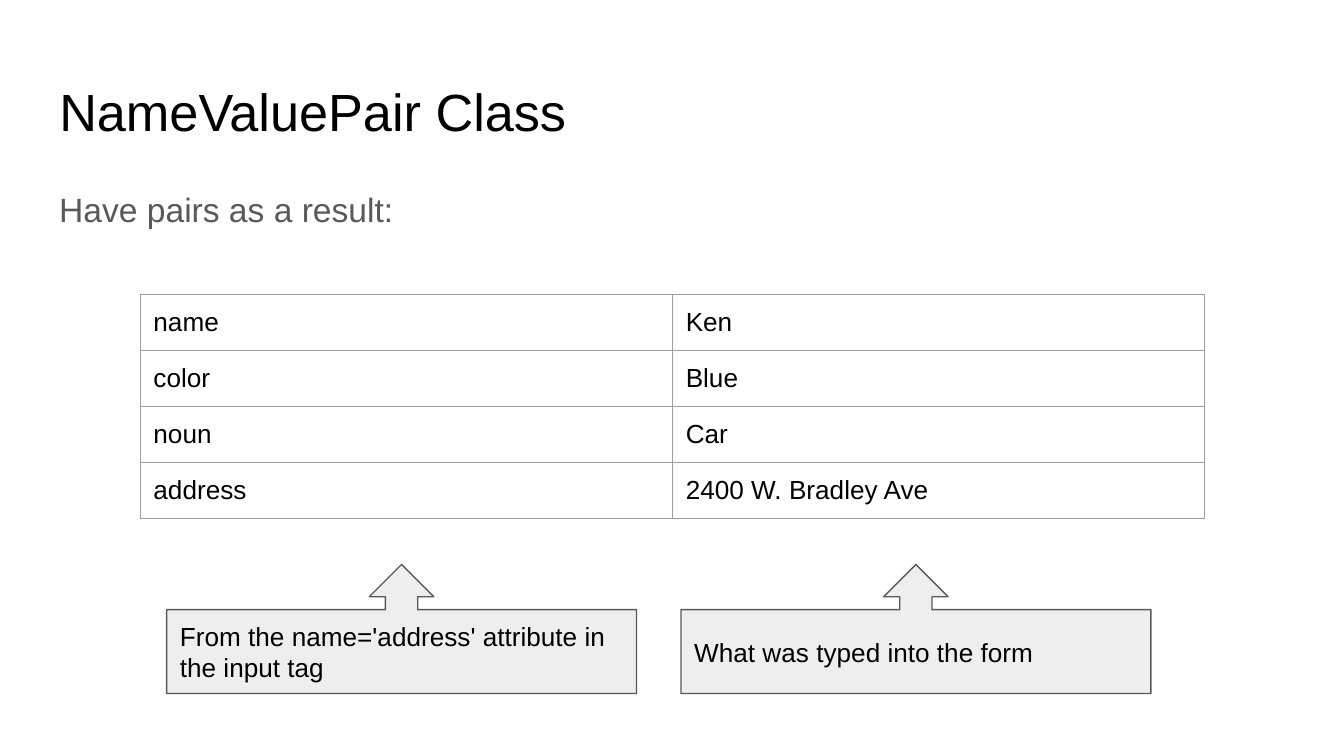
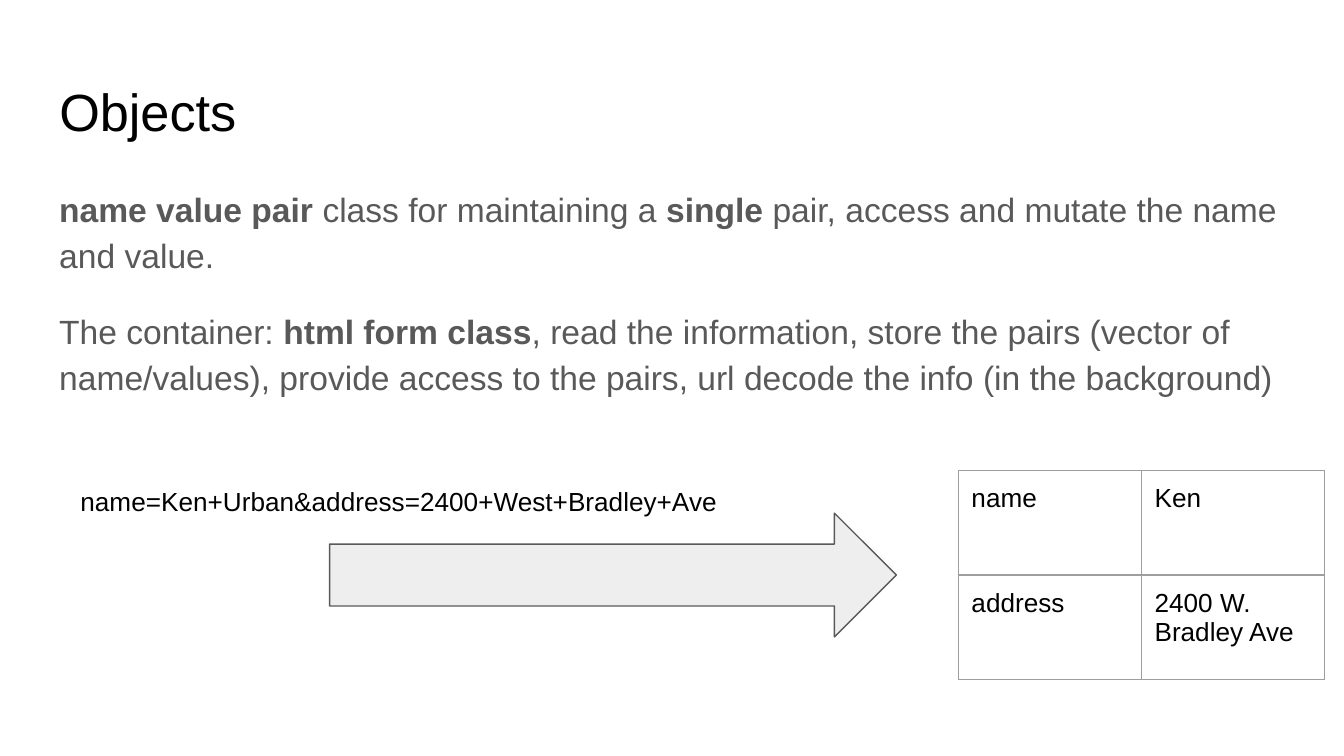
from lxml import etree
from pptx import Presentation
from pptx.dml.color import RGBColor
from pptx.enum.shapes import MSO_SHAPE
from pptx.enum.text import MSO_ANCHOR, MSO_AUTO_SIZE, PP_ALIGN
from pptx.oxml.ns import qn
from pptx.util import Cm, Pt

CALLOUT = MSO_SHAPE.UP_ARROW_CALLOUT
RIGHT_ARROW = MSO_SHAPE.RIGHT_ARROW
TOP, MIDDLE = MSO_ANCHOR.TOP, MSO_ANCHOR.MIDDLE
LEFT = PP_ALIGN.LEFT
NO_AUTOFIT = MSO_AUTO_SIZE.NONE

COLORS = {"ink": "000000", "body": "595959", "shape": "EEEEEE", "grid": "9E9E9E"}
FONT = "Arial"
MARGIN = Cm(0.25)
TEXT_LEFT, TEXT_WIDTH = Cm(0.87), Cm(23.67)


def format_text(frame, size, color="ink", anchor=TOP):
    frame.word_wrap = True
    frame.auto_size = NO_AUTOFIT
    frame.vertical_anchor = anchor
    frame.margin_left = frame.margin_right = MARGIN
    frame.margin_top = frame.margin_bottom = MARGIN
    for paragraph in frame.paragraphs:
        paragraph.alignment = LEFT
        for run in paragraph.runs:
            run.font.name = FONT
            run.font.size = Pt(size)
            run.font.color.rgb = RGBColor.from_string(COLORS[color])


def add_pairs(slide, pairs, left, top, column_width, row_height):
    table = slide.shapes.add_table(
        len(pairs), 2, left, top, column_width * 2, row_height * len(pairs)
    ).table
    table.first_row = table.horz_banding = False
    for column in table.columns:
        column.width = column_width
    for row, pair in zip(table.rows, pairs):
        row.height = row_height
        for cell, text in zip(row.cells, pair):
            cell.text = text
            cell.margin_left = cell.margin_right = MARGIN
            cell.margin_top = cell.margin_bottom = MARGIN
            font = cell.text_frame.paragraphs[0].runs[0].font
            font.name, font.size = FONT, Pt(14)
            font.color.rgb = RGBColor.from_string(COLORS["ink"])
            properties = cell._tc.get_or_add_tcPr()
            for side in ("a:lnL", "a:lnR", "a:lnT", "a:lnB"):
                border = etree.SubElement(properties, qn(side), w=str(Pt(0.75)))
                fill = etree.SubElement(border, qn("a:solidFill"))
                etree.SubElement(fill, qn("a:srgbClr"), val=COLORS["grid"])
            cell.fill.background()


prs = Presentation()
prs.slide_width, prs.slide_height = Cm(25.4), Cm(14.29)

contents = [
    ("NameValuePair Class", Cm(9.49), [[("Have pairs as a result:", False)]]),
    ("Objects", Cm(4.62), [
        [
            ("name value pair ", True),
            ("class for maintaining a ", False),
            ("single", True),
            (" pair, access and mutate the name and value.", False),
        ],
        [
            ("The container: ", False),
            ("html form class", True),
            (", read the information, store the pairs (vector of name/values), "
             "provide access to the pairs, url decode the info (in the background)", False),
        ],
    ]),
]

for heading, body_height, paragraphs in contents:
    slide = prs.slides.add_slide(prs.slide_layouts[5])
    title = slide.shapes.title
    title.left, title.top, title.width, title.height = TEXT_LEFT, Cm(1.24), TEXT_WIDTH, Cm(1.59)
    title.text_frame.text = heading
    format_text(title.text_frame, 28)

    body = slide.shapes.add_textbox(TEXT_LEFT, Cm(3.2), TEXT_WIDTH, body_height).text_frame
    for index, fragments in enumerate(paragraphs):
        paragraph = body.add_paragraph() if index else body.paragraphs[0]
        paragraph.line_spacing = 1.15
        paragraph.space_after = Pt(16)
        for text, bold in fragments:
            run = paragraph.add_run()
            run.text = text
            run.font.bold = bold
    format_text(body, 18, "body")

pair_slide, objects_slide = prs.slides

form_pairs = [
    ("name", "Ken"),
    ("color", "Blue"),
    ("noun", "Car"),
    ("address", "2400 W. Bradley Ave"),
]
add_pairs(pair_slide, form_pairs, Cm(2.65), Cm(5.56), Cm(10.06), Cm(1.06))

query = objects_slide.shapes.add_textbox(Cm(1.27), Cm(8.92), Cm(13.08), Cm(1.17)).text_frame
query.text = "name=Ken+Urban&address=2400+West+Bradley+Ave"
format_text(query, 14)

arrows = [
    (pair_slide, CALLOUT, 3.15, 10.67, 8.88, 2.44,
     "From the name='address' attribute in the input tag"),
    (pair_slide, CALLOUT, 12.87, 10.67, 8.88, 2.44, "What was typed into the form"),
    (objects_slide, RIGHT_ARROW, 6.23, 9.7, 10.71, 2.34, ""),
]
for slide, kind, left, top, width, height, text in arrows:
    arrow = slide.shapes.add_shape(kind, Cm(left), Cm(top), Cm(width), Cm(height))
    arrow.shadow.inherit = False
    arrow.fill.solid()
    arrow.fill.fore_color.rgb = RGBColor.from_string(COLORS["shape"])
    arrow.line.color.rgb = RGBColor.from_string(COLORS["body"])
    arrow.line.width = Pt(0.75)
    arrow.text_frame.text = text
    format_text(arrow.text_frame, 14, anchor=MIDDLE)

decoded_pairs = [form_pairs[0], form_pairs[-1]]
add_pairs(objects_slide, decoded_pairs, Cm(18.11), Cm(8.89), Cm(3.46), Cm(1.98))

prs.save("out.pptx")
